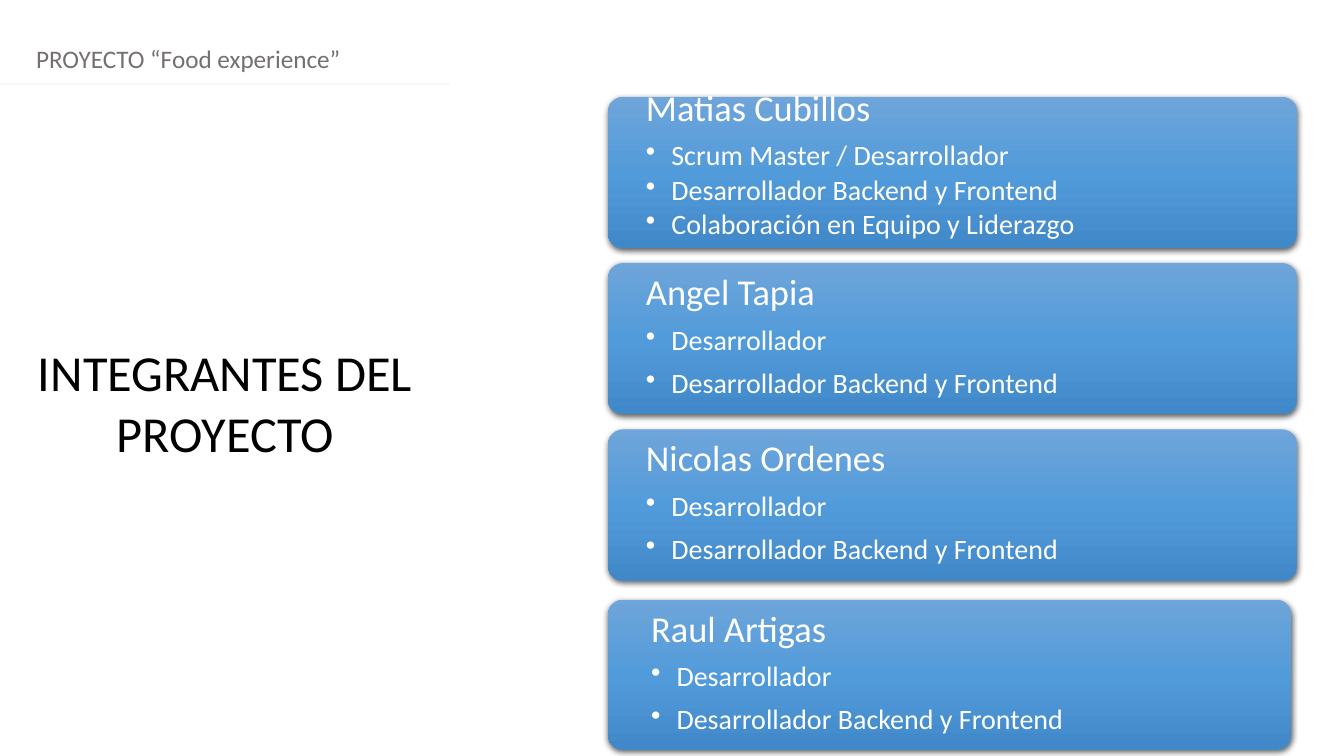
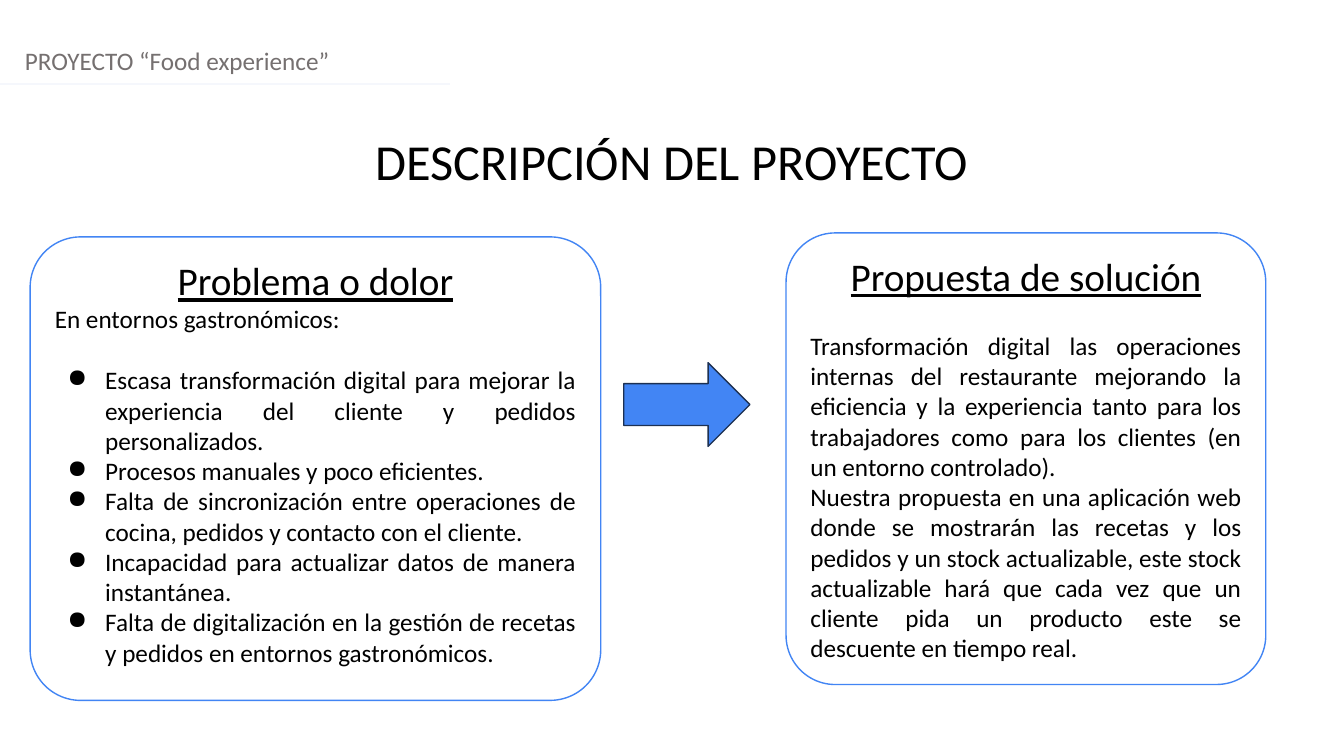
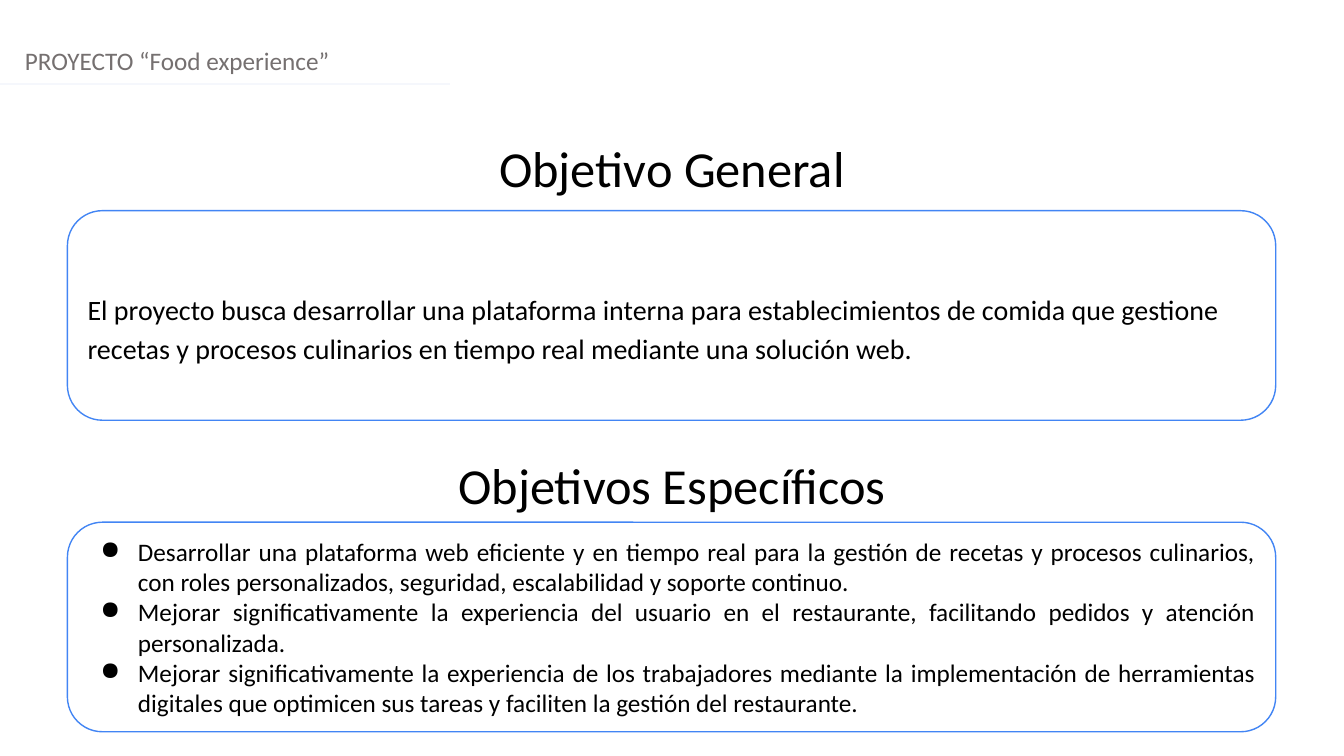
"""Builds three project slides: team, description and objectives."""
from copy import deepcopy

from lxml.etree import SubElement
from pptx import Presentation
from pptx.dml.color import RGBColor
from pptx.enum.shapes import MSO_CONNECTOR, MSO_SHAPE
from pptx.enum.text import MSO_ANCHOR, MSO_AUTO_SIZE, PP_ALIGN
from pptx.oxml.ns import qn
from pptx.util import Cm, Pt

COLORS = {
    "text": "000000", "white": "FFFFFF", "header": "757070", "rule": "F5F7FC",
    "accent": "4285F4", "arrow_line": "1C3052", "shadow": "000000",
    "card_top": "6EA5DA", "card_mid": "529BDA", "card_bottom": "4188C8",
}
RGB = {name: RGBColor.from_string(value) for name, value in COLORS.items()}
FONT = "Calibri"
WIDTH, HEIGHT = 33.87, 19.05


def add_text(tf, text, size=18, color="text", align=PP_ALIGN.LEFT, underline=False,
             spacing=1.0, before=0, bullet=None, indent=0, hang=0):
    p = tf.paragraphs[0]
    if p.runs:
        p = tf.add_paragraph()
    p.alignment = align
    p.line_spacing = spacing
    p.space_before = Pt(before)
    r = p.add_run()
    r.text = text
    r.font.name = FONT
    r.font.size = Pt(size)
    r.font.underline = underline
    r.font.color.rgb = RGB[color]
    if bullet:
        pPr = p._p.get_or_add_pPr()
        pPr.set("marL", str(Cm(indent)))
        pPr.set("indent", str(-Cm(hang)))
        clr = SubElement(pPr, qn("a:buClr"))
        SubElement(clr, qn("a:srgbClr"), val=COLORS[color])
        SubElement(pPr, qn("a:buChar"), char=bullet)


def add_panel(s, shape, left, top, width, height, fill="white", line="accent", adj=None,
              anchor=MSO_ANCHOR.TOP):
    sp = s.shapes.add_shape(shape, Cm(left), Cm(top), Cm(width), Cm(height))
    sp.shadow.inherit = False
    sp.fill.solid()
    sp.fill.fore_color.rgb = RGB[fill]
    sp.line.color.rgb = RGB[line]
    sp.line.width = Pt(1)
    if adj:
        sp.adjustments[0] = adj
    sp.text_frame.vertical_anchor = anchor
    return sp


prs = Presentation()
prs.slide_width, prs.slide_height = Cm(WIDTH), Cm(HEIGHT)

frames = [
    ("INTEGRANTES DEL PROYECTO", (0.66, 8.48, 10.03, 3.33), (0.66, 0.97)),
    ("DESCRIPCIÓN DEL PROYECTO", (0, 3.15, WIDTH, 1.8), (0.38, 1.02)),
    ("Objetivo General", (0, 3.33, WIDTH, 1.8), (0.38, 1.02)),
]
for title, box, (left, top) in frames:
    s = prs.slides.add_slide(prs.slide_layouts[5])
    sp = s.shapes.title
    sp.left, sp.top, sp.width, sp.height = [Cm(v) for v in box]
    tf = sp.text_frame
    tf.auto_size = MSO_AUTO_SIZE.NONE
    tf.word_wrap = True
    tf.vertical_anchor = MSO_ANCHOR.TOP
    add_text(tf, title, size=36, align=PP_ALIGN.CENTER)

    tf = s.shapes.add_textbox(Cm(left), Cm(top), Cm(12), Cm(1.02)).text_frame
    tf.word_wrap = True
    add_text(tf, "PROYECTO “Food experience”", color="header")

    rule = s.shapes.add_connector(MSO_CONNECTOR.STRAIGHT, 0, Cm(2.11), Cm(11.35), Cm(2.11))
    rule.line.color.rgb = RGB["rule"]
    rule.line.width = Pt(1.25)
    SubElement(rule._element.spPr, qn("a:effectLst"))

team, description, objectives = prs.slides

roles = ["Desarrollador", "Desarrollador Backend y Frontend"]
lead_roles = ["Scrum Master / Desarrollador", "Desarrollador Backend y Frontend",
              "Colaboración en Equipo y Liderazgo"]
members = [
    ("Matias Cubillos", lead_roles, 2.44, 17.37, 3.81, 16, 1.98, 3),
    ("Angel Tapia", roles, 6.63, 17.37, 3.81, 16, 6.63, 9.1),
    ("Nicolas Ordenes", roles, 10.82, 17.37, 3.81, 16, 10.82, 9.1),
    ("Raul Artigas", roles, 15.11, 17.22, 3.78, 16.13, 15.11, 9.1),
]
for name, items, top, width, height, text_left, text_top, gap in members:
    sp = add_panel(team, MSO_SHAPE.ROUNDED_RECTANGLE, 15.32, top, width, height, adj=0.1)
    sp.line.fill.background()
    sp.fill.gradient()
    sp.fill.gradient_angle = 270
    gs_list = sp._element.spPr.find(".//" + qn("a:gsLst"))
    gs_list.append(deepcopy(gs_list[0]))
    stops = zip(sp.fill.gradient_stops, (0, 0.5, 1), ("card_top", "card_mid", "card_bottom"))
    for stop, position, color in stops:
        stop.position = position
        stop.color.rgb = RGB[color]
    effects = sp._element.spPr.find(qn("a:effectLst"))
    shadow = SubElement(effects, qn("a:outerShdw"), blurRad=str(Pt(4.5)), dist=str(Pt(1.5)),
                        dir="5400000", algn="ctr", rotWithShape="0")
    clr = SubElement(shadow, qn("a:srgbClr"), val=COLORS["shadow"])
    SubElement(clr, qn("a:alpha"), val="63000")

    tf = team.shapes.add_textbox(Cm(text_left), Cm(text_top), Cm(16.69),
                                 Cm(top + height - text_top)).text_frame
    tf.word_wrap = True
    tf.margin_left = tf.margin_right = tf.margin_top = tf.margin_bottom = Cm(0.28)
    add_text(tf, name, size=26, color="white", spacing=0.9)
    for i, item in enumerate(items):
        add_text(tf, item, size=20, color="white", spacing=0.9, before=gap if i else 9.1,
                 bullet="•", indent=0.64, hang=0.64)

problems = [
    "Escasa transformación digital para mejorar la experiencia del cliente y pedidos personalizados.",
    "Procesos manuales y poco eficientes.",
    "Falta de sincronización entre operaciones de cocina, pedidos y contacto con el cliente.",
    "Incapacidad para actualizar datos de manera instantánea.",
    "Falta de digitalización en la gestión de recetas y pedidos en entornos gastronómicos.",
]
proposal = [
    "Transformación digital las operaciones internas del restaurante mejorando la eficiencia y la "
    "experiencia tanto para los trabajadores como para los clientes (en un entorno controlado).",
    "Nuestra propuesta en una aplicación web donde se mostrarán las recetas y los pedidos y un "
    "stock actualizable, este stock actualizable hará que cada vez que un cliente pida un producto "
    "este se descuente en tiempo real.",
]
bullets = {"align": PP_ALIGN.JUSTIFY, "bullet": "●", "indent": 1.27, "hang": 0.95}
heading = {"size": 28, "align": PP_ALIGN.CENTER, "underline": True}

tf = add_panel(description, MSO_SHAPE.ROUNDED_RECTANGLE, 0.76, 5.97, 14.38, 11.68,
               adj=0.109).text_frame
add_text(tf, "Problema o dolor", **heading)
add_text(tf, "En entornos gastronómicos:", align=PP_ALIGN.JUSTIFY)
for i, text in enumerate(problems):
    add_text(tf, text, before=0 if i else 22, **bullets)

tf = add_panel(description, MSO_SHAPE.ROUNDED_RECTANGLE, 19.81, 5.87, 12.09, 11.38,
               adj=0.109).text_frame
add_text(tf, "Propuesta de solución", **heading)
for i, text in enumerate(proposal):
    add_text(tf, text, align=PP_ALIGN.JUSTIFY, before=0 if i else 22)

add_panel(description, MSO_SHAPE.RIGHT_ARROW, 15.72, 9.14, 3.18, 2.11,
          fill="accent", line="arrow_line")

goals = [
    "Desarrollar una plataforma web eficiente y en tiempo real para la gestión de recetas y "
    "procesos culinarios, con roles personalizados, seguridad, escalabilidad y soporte continuo.",
    "Mejorar significativamente la experiencia del usuario en el restaurante, facilitando pedidos "
    "y atención personalizada.",
    "Mejorar significativamente la experiencia de los trabajadores mediante la implementación de "
    "herramientas digitales que optimicen sus tareas y faciliten la gestión del restaurante.",
]
tf = objectives.shapes.add_textbox(0, Cm(11.33), Cm(WIDTH), Cm(1.8)).text_frame
tf.word_wrap = True
add_text(tf, "Objetivos Específicos", size=36, align=PP_ALIGN.CENTER)

general, specific = [
    add_panel(objectives, MSO_SHAPE.ROUNDED_RECTANGLE, 1.7, top, 30.45, 5.28, adj=0.167,
              anchor=MSO_ANCHOR.MIDDLE).text_frame
    for top in (5.31, 13.16)
]
general.margin_top = Cm(0.66)
add_text(general, "El proyecto busca desarrollar una plataforma interna para establecimientos de "
         "comida que gestione recetas y procesos culinarios en tiempo real mediante una solución "
         "web.", size=20, spacing=1.15)
for text in goals:
    add_text(specific, text, **bullets)

prs.save("out.pptx")
